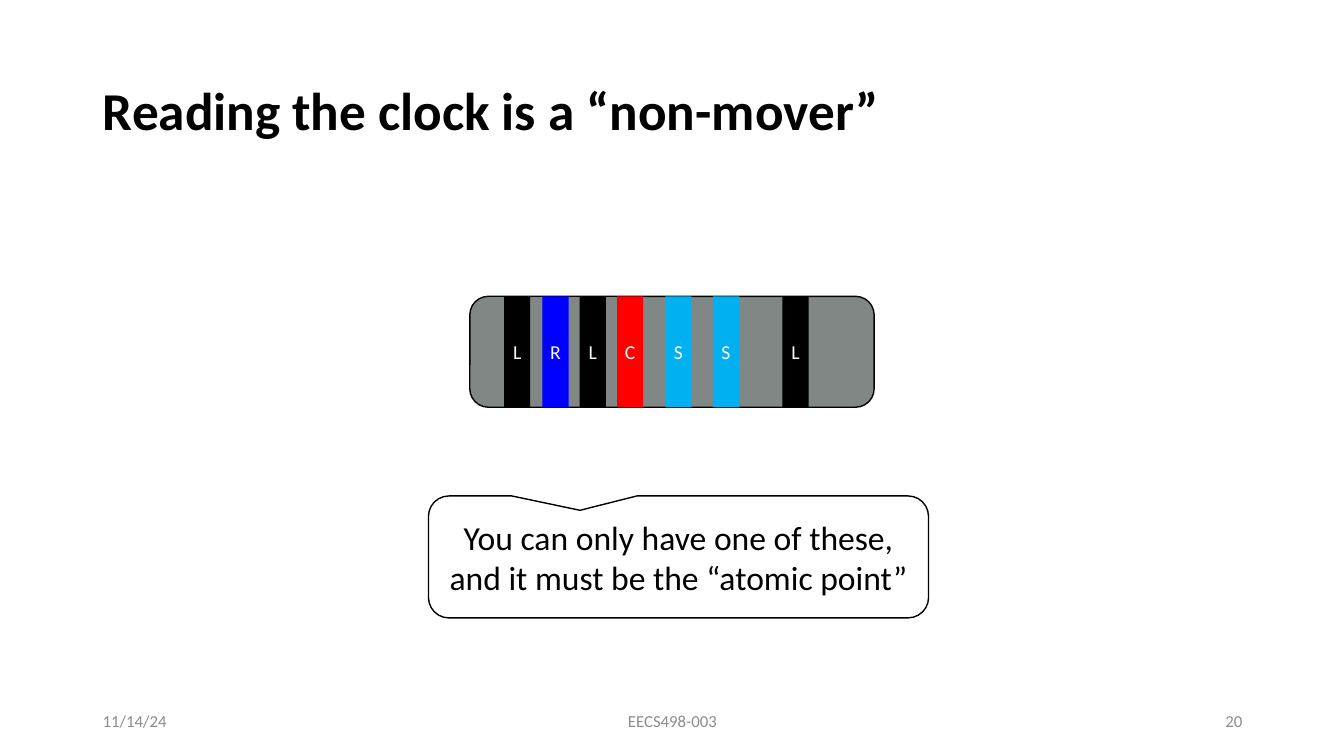
import dataclasses

import pptx
import pptx.dml.color
import pptx.enum.shapes
import pptx.enum.text
import pptx.util

Inches = pptx.util.Inches
Pt = pptx.util.Pt
Shape = pptx.enum.shapes.MSO_SHAPE
Align = pptx.enum.text.PP_ALIGN
Anchor = pptx.enum.text.MSO_ANCHOR


@dataclasses.dataclass(frozen=True)
class Theme:
    font: str = "Calibri"
    black: str = "000000"
    white: str = "FFFFFF"
    pale: str = "FAFAFA"
    gray: str = "808785"
    muted: str = "8C8C8C"
    red: str = "FF0000"
    blue: str = "0000FF"
    sky: str = "00B0F0"
    title: float = 38
    note: float = 24
    label: float = 14.1
    foot: float = 12


THEME = Theme()
TOP, HIGH, BAR = 2.94, 1.1, 0.26
BARS = [
    (5.00, "L", THEME.black, THEME.pale),
    (5.38, "R", THEME.blue, THEME.pale),
    (5.75, "L", THEME.black, THEME.pale),
    (6.12, "C", THEME.red, THEME.pale),
    (6.60, "S", THEME.sky, THEME.white),
    (7.07, "S", THEME.sky, THEME.white),
    (7.76, "L", THEME.black, THEME.pale),
]
FOOTER = [
    (0.92, 3, "11/14/24", Align.LEFT),
    (4.42, 4.5, "EECS498-003", Align.CENTER),
    (9.42, 3, "20", Align.RIGHT),
]


def rgb(code):
    return pptx.dml.color.RGBColor.from_string(code)


def write(shape, text, size, color, align, bold=False):
    frame = shape.text_frame
    frame.text = text
    frame.word_wrap = True
    frame.auto_size = pptx.enum.text.MSO_AUTO_SIZE.NONE
    frame.vertical_anchor = Anchor.MIDDLE
    for para in frame.paragraphs:
        para.alignment = align
        for run in para.runs:
            run.font.name = THEME.font
            run.font.size = Pt(size)
            run.font.bold = bold
            run.font.color.rgb = rgb(color)


def add_box(shapes, kind, box, fill, line=None):
    shape = shapes.add_shape(kind, *map(Inches, box))
    shape.shadow.inherit = False
    shape.fill.solid()
    shape.fill.fore_color.rgb = rgb(fill)
    if line:
        shape.line.color.rgb = rgb(line)
        shape.line.width = Pt(1)
    else:
        shape.line.fill.background()
    return shape


def add_title(slide, text):
    title = slide.shapes.title
    title.left, title.top = Inches(0.92), Inches(0.4)
    title.width, title.height = Inches(11.5), Inches(1.45)
    write(title, text, THEME.title, THEME.black, Align.LEFT, bold=True)
    title.text_frame.paragraphs[0].line_spacing = 0.9


def add_thread(slide):
    """Draw the thread's body with one labelled bar per action."""
    group = slide.shapes.add_group_shape().shapes
    add_box(group, Shape.ROUNDED_RECTANGLE, (4.66, TOP, 4.01, HIGH),
            THEME.gray, THEME.black)
    for left, label, fill, color in BARS:
        bar = add_box(group, Shape.RECTANGLE, (left, TOP, BAR, HIGH), fill)
        write(bar, label, THEME.label, color, Align.CENTER)
        frame = bar.text_frame
        frame.margin_left = frame.margin_right = 0


def add_note(slide, text):
    note = add_box(slide.shapes, Shape.ROUNDED_RECTANGULAR_CALLOUT,
                   (4.25, 4.92, 4.96, 1.21), THEME.white, THEME.black)
    for i, value in enumerate((-0.197, -0.382, 0.167)):
        note.adjustments[i] = value
    write(note, text, THEME.note, THEME.black, Align.CENTER)


def add_footer(slide):
    for left, width, text, align in FOOTER:
        box = slide.shapes.add_textbox(
            Inches(left), Inches(6.95), Inches(width), Inches(0.4))
        write(box, text, THEME.foot, THEME.muted, align)


def main():
    deck = pptx.Presentation()
    deck.slide_width, deck.slide_height = Inches(13.33), Inches(7.5)
    slide = deck.slides.add_slide(deck.slide_layouts.get_by_name("Title Only"))
    add_thread(slide)
    add_title(slide, "Reading the clock is a “non-mover”")
    add_note(slide, "You can only have one of these, "
                    "and it must be the “atomic point”")
    add_footer(slide)
    deck.save("out.pptx")


if __name__ == "__main__":
    main()
